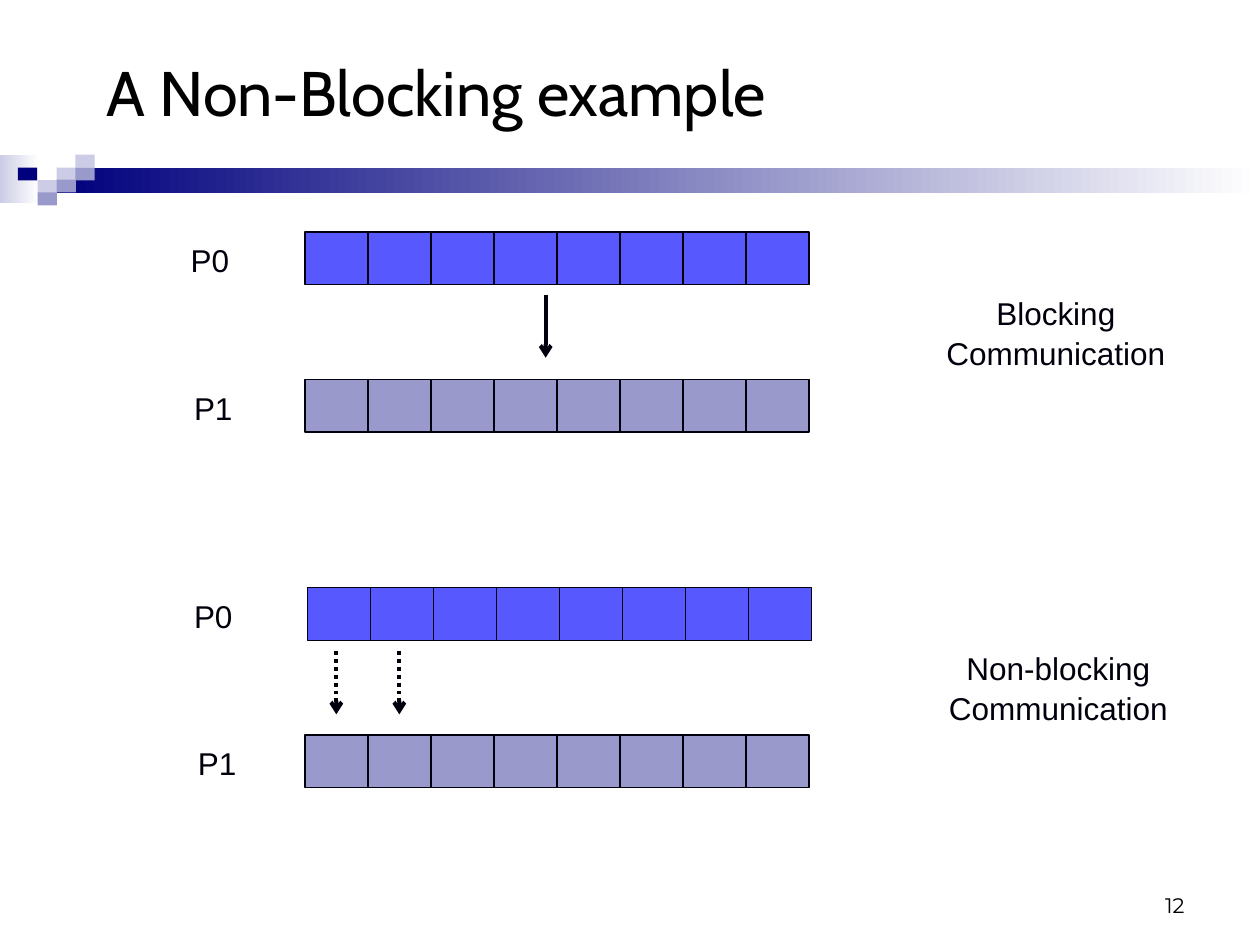
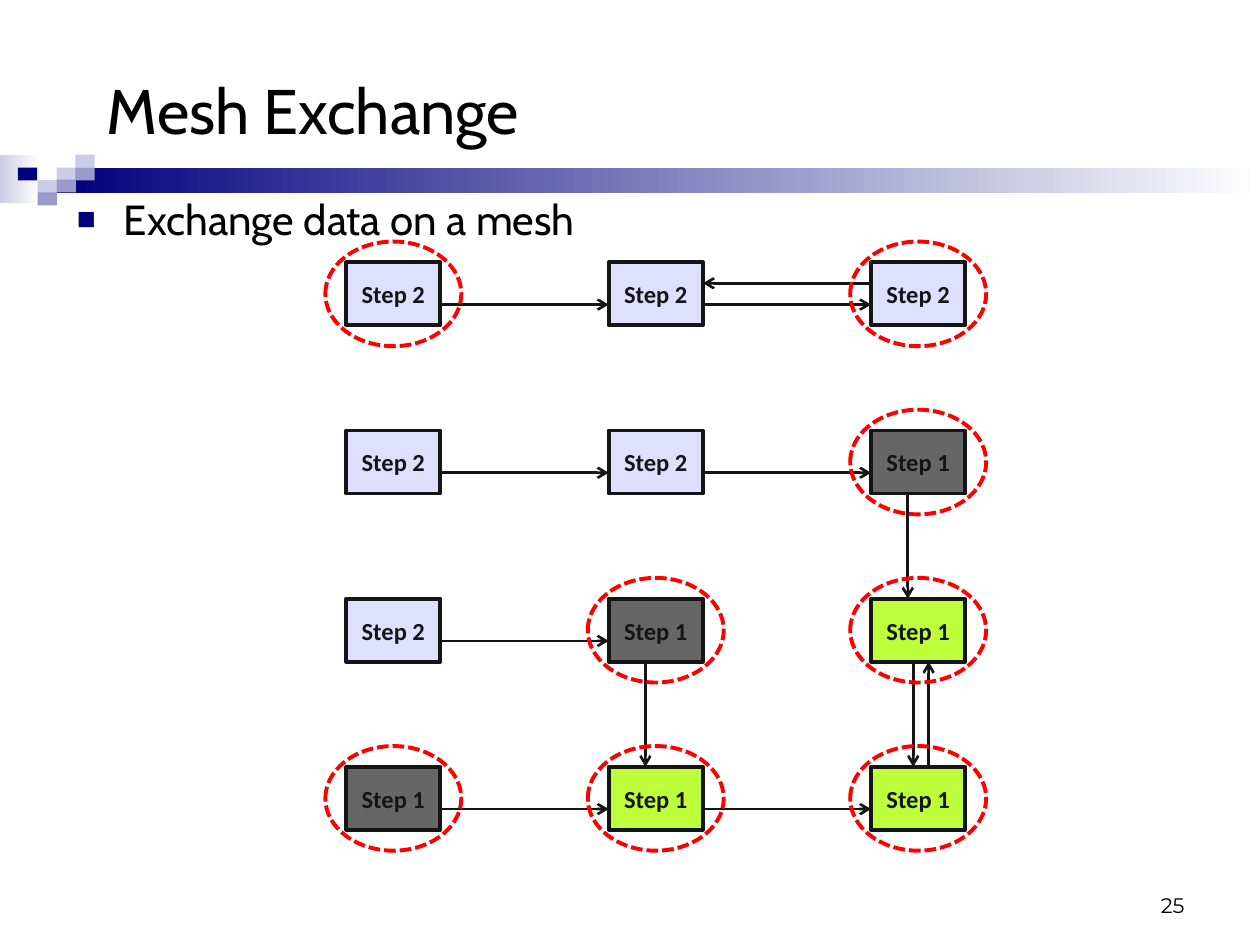
from typing import NamedTuple

from lxml import etree
from pptx import Presentation
from pptx.dml.color import RGBColor
from pptx.enum.dml import MSO_LINE
from pptx.enum.shapes import MSO_CONNECTOR, MSO_SHAPE
from pptx.enum.text import MSO_ANCHOR, PP_ALIGN
from pptx.oxml.ns import qn
from pptx.util import Cm, Pt

RECTANGLE = MSO_SHAPE.RECTANGLE
OVAL = MSO_SHAPE.OVAL
STRAIGHT = MSO_CONNECTOR.STRAIGHT
DOTTED = MSO_LINE.ROUND_DOT
DASHED = MSO_LINE.SQUARE_DOT
LEFT, CENTER, RIGHT = PP_ALIGN.LEFT, PP_ALIGN.CENTER, PP_ALIGN.RIGHT
TOP, MIDDLE, BOTTOM = MSO_ANCHOR.TOP, MSO_ANCHOR.MIDDLE, MSO_ANCHOR.BOTTOM

COLORS = {
    "black": "000000",
    "white": "FFFFFF",
    "navy": "00007D",
    "lavender": "9999CC",
    "mist": "CCCCE6",
    "ink": "00000D",
    "sender": "5858FF",
    "receiver": "9999CC",
    "charcoal": "151515",
    "later": "DFDFFF",
    "start": "666666",
    "reached": "BDFF3B",
    "ring": "FF0000",
}


class Area(NamedTuple):
    left: float
    top: float
    width: float
    height: float

    def lengths(self) -> tuple:
        return tuple(Cm(value) for value in self)


class Stroke(NamedTuple):
    color: str
    width: float
    dash: object = None


class Buffer(NamedTuple):
    name: str
    color: str
    left: float
    top: float
    label_left: float


class Exchange(NamedTuple):
    caption: str
    caption_left: float
    caption_top: float
    arrow_top: float
    arrow_lefts: tuple
    dash: object
    buffers: tuple


CELL_COUNT, CELL_WIDTH, CELL_HEIGHT = 8, 1.27, 1.06
CELL_STROKE = Stroke("ink", 0.75)
ARROW_LENGTH = 1.27

EXCHANGES = (
    Exchange("Blocking Communication", 18.21, 5.77, 5.94, (11,), None, (
        Buffer("P0", "sender", 6.15, 4.68, 3.38),
        Buffer("P1", "receiver", 6.15, 7.65, 3.45),
    )),
    Exchange("Non-blocking Communication", 18.26, 12.93, 13.13, (6.78, 8.05), DOTTED, (
        Buffer("P0", "sender", 6.2, 11.85, 3.45),
        Buffer("P1", "receiver", 6.15, 14.82, 3.53),
    )),
)

MESH_LEFT, MESH_TOP = 6.98, 5.29
COLUMN_STEP, ROW_STEP = 5.29, 3.39
NODE_WIDTH, NODE_HEIGHT = 1.9, 1.27
RING_MARGIN = 0.42
NODE_STROKE = Stroke("charcoal", 2.25)
LINK_STROKE = Stroke("charcoal", 1.5)
RING_STROKE = Stroke("ring", 2.25, DASHED)
MESH = (
    ("later", "later", "later"),
    ("later", "later", "start"),
    ("later", "start", "reached"),
    ("start", "reached", "reached"),
)
RINGED_LATER = {(0, 0), (0, 2)}
LINKS_RIGHT = ((0, 0), (0, 1), (1, 0), (1, 1), (2, 0), (3, 0), (3, 1))
LINKS_DOWN = ((1, 2, 0.74), (2, 1, 0.74), (2, 2, 0.85))

BAND_SQUARES = (
    ("mist", 1.14, 3.38),
    ("mist", 1.52, 3.12),
    ("lavender", 1.52, 3.38),
    ("mist", 0.76, 3.63),
    ("navy", 0.36, 3.38),
    ("lavender", 1.14, 3.62),
    ("lavender", 0.76, 3.88),
)


def rgb(name: str) -> RGBColor:
    return RGBColor.from_string(COLORS[name])


def apply_stroke(line, stroke: Stroke) -> None:
    line.color.rgb = rgb(stroke.color)
    line.width = Pt(stroke.width)
    if stroke.dash is not None:
        line.dash_style = stroke.dash


def write_text(shape, text: str, *, font: str, size: float, color: str = "black",
               bold: bool = False, align=LEFT, anchor=TOP, spacing: float = 1.0):
    frame = shape.text_frame
    frame.word_wrap = True
    frame.vertical_anchor = anchor
    paragraph = frame.paragraphs[0]
    paragraph.alignment = align
    if spacing != 1.0:
        paragraph.line_spacing = spacing
    span = paragraph.add_run()
    span.text = text
    span.font.name = font
    span.font.size = Pt(size)
    span.font.bold = bold
    span.font.color.rgb = rgb(color)
    return paragraph


def add_text(page, area: Area, text: str, **text_format):
    box = page.shapes.add_textbox(*area.lengths())
    return write_text(box, text, **text_format)


def add_block(page, area: Area, fill: str | None = None,
              stroke: Stroke | None = None, kind=RECTANGLE):
    shape = page.shapes.add_shape(kind, *area.lengths())
    shape.shadow.inherit = False
    if fill:
        shape.fill.solid()
        shape.fill.fore_color.rgb = rgb(fill)
    else:
        shape.fill.background()
    if stroke:
        apply_stroke(shape.line, stroke)
    else:
        shape.line.fill.background()
    return shape


def add_fade(page, area: Area, color: str) -> None:
    shape = add_block(page, area)
    shape.fill.gradient()
    shape.fill.gradient_angle = 0
    for stop, name in zip(shape.fill.gradient_stops, (color, "white")):
        stop.color.rgb = rgb(name)


def add_arrow(page, start: tuple, end: tuple, stroke: Stroke) -> None:
    points = [Cm(value) for value in (*start, *end)]
    arrow = page.shapes.add_connector(STRAIGHT, *points)
    apply_stroke(arrow.line, stroke)
    etree.SubElement(arrow.line._get_or_add_ln(), qn("a:tailEnd"), type="arrow")
    etree.SubElement(arrow._element.spPr, qn("a:effectLst"))


def add_bullet(paragraph, color: str) -> None:
    properties = paragraph._p.get_or_add_pPr()
    properties.set("marL", str(Cm(0.95)))
    properties.set("indent", str(-Cm(0.95)))
    bullet_color = etree.SubElement(properties, qn("a:buClr"))
    etree.SubElement(bullet_color, qn("a:srgbClr"), val=COLORS[color])
    etree.SubElement(properties, qn("a:buSzPct"), val="75000")
    etree.SubElement(properties, qn("a:buFont"), typeface="Arial")
    etree.SubElement(properties, qn("a:buChar"), char="■")


def add_page(deck, title: str, title_top: float, number: int):
    page = deck.slides.add_slide(deck.slide_layouts[6])
    add_fade(page, Area(0, 3.12, 0.79, 0.97), "mist")
    add_fade(page, Area(1.14, 3.38, 24.26, 0.51), "navy")
    for color, left, top in BAND_SQUARES:
        add_block(page, Area(left, top, 0.39, 0.26), color)
    add_text(page, Area(1.9, title_top, 21.39, 2.26), title,
             font="Cabin", size=36, anchor=MIDDLE)
    add_text(page, Area(18.21, 17.35, 5.92, 1.27), str(number),
             font="Montserrat", size=12, align=RIGHT, anchor=BOTTOM)
    return page


def draw_buffer(page, buffer: Buffer) -> None:
    for index in range(CELL_COUNT):
        left = buffer.left + index * CELL_WIDTH
        add_block(page, Area(left, buffer.top, CELL_WIDTH, CELL_HEIGHT),
                  buffer.color, CELL_STROKE)
    add_text(page, Area(buffer.label_left, buffer.top + 0.06, 1.7, 1.02), buffer.name,
             font="Arial", size=18, color="ink", align=CENTER)


def draw_exchange(page, exchange: Exchange) -> None:
    for buffer in exchange.buffers:
        draw_buffer(page, buffer)
    for left in exchange.arrow_lefts:
        add_arrow(page, (left, exchange.arrow_top),
                  (left, exchange.arrow_top + ARROW_LENGTH),
                  Stroke("ink", 2.25, exchange.dash))
    add_text(page, Area(exchange.caption_left, exchange.caption_top, 6.15, 1.78),
             exchange.caption, font="Arial", size=18, color="ink",
             align=CENTER, spacing=1.05)


def node_area(row: int, column: int) -> Area:
    return Area(MESH_LEFT + column * COLUMN_STEP, MESH_TOP + row * ROW_STEP,
                NODE_WIDTH, NODE_HEIGHT)


def link_columns(page, row: int, column: int, offset: float, back: bool = False) -> None:
    node = node_area(row, column)
    height = node.top + offset
    ends = [(node.left + NODE_WIDTH, height), (node.left + COLUMN_STEP, height)]
    add_arrow(page, *(reversed(ends) if back else ends), LINK_STROKE)


def link_rows(page, row: int, column: int, offset: float, back: bool = False) -> None:
    node = node_area(row, column)
    left = node.left + offset
    ends = [(left, node.top + NODE_HEIGHT), (left, node.top + ROW_STEP)]
    add_arrow(page, *(reversed(ends) if back else ends), LINK_STROKE)


def draw_mesh(page) -> None:
    nodes = [(row, column, state) for row, states in enumerate(MESH)
             for column, state in enumerate(states)]
    for row, column, state in nodes:
        node = add_block(page, node_area(row, column), state, NODE_STROKE)
        write_text(node, "Step 2" if state == "later" else "Step 1", font="Calibri",
                   size=14, color="charcoal", bold=True, align=CENTER, anchor=MIDDLE)
    for row, column in LINKS_RIGHT:
        link_columns(page, row, column, 0.85)
    link_columns(page, 0, 1, 0.42, back=True)
    for row, column, offset in LINKS_DOWN:
        link_rows(page, row, column, offset)
    link_rows(page, 2, 2, 1.16, back=True)
    for row, column, state in nodes:
        if state != "later" or (row, column) in RINGED_LATER:
            area = node_area(row, column)
            ring = Area(area.left - RING_MARGIN, area.top - RING_MARGIN,
                        NODE_WIDTH + 2 * RING_MARGIN, NODE_HEIGHT + 2 * RING_MARGIN)
            add_block(page, ring, stroke=RING_STROKE, kind=OVAL)


def main() -> None:
    deck = Presentation()
    deck.slide_width, deck.slide_height = Cm(25.4), Cm(19.05)

    example = add_page(deck, "A Non-Blocking example", 0.71, 12)
    for exchange in EXCHANGES:
        draw_exchange(example, exchange)

    mesh = add_page(deck, "Mesh Exchange", 1.07, 25)
    draw_mesh(mesh)
    topic = add_text(mesh, Area(1.3, 3.78, 23.24, 1.93), "Exchange data on a mesh",
                     font="Cabin", size=24)
    add_bullet(topic, "navy")

    deck.save("out.pptx")


if __name__ == "__main__":
    main()
